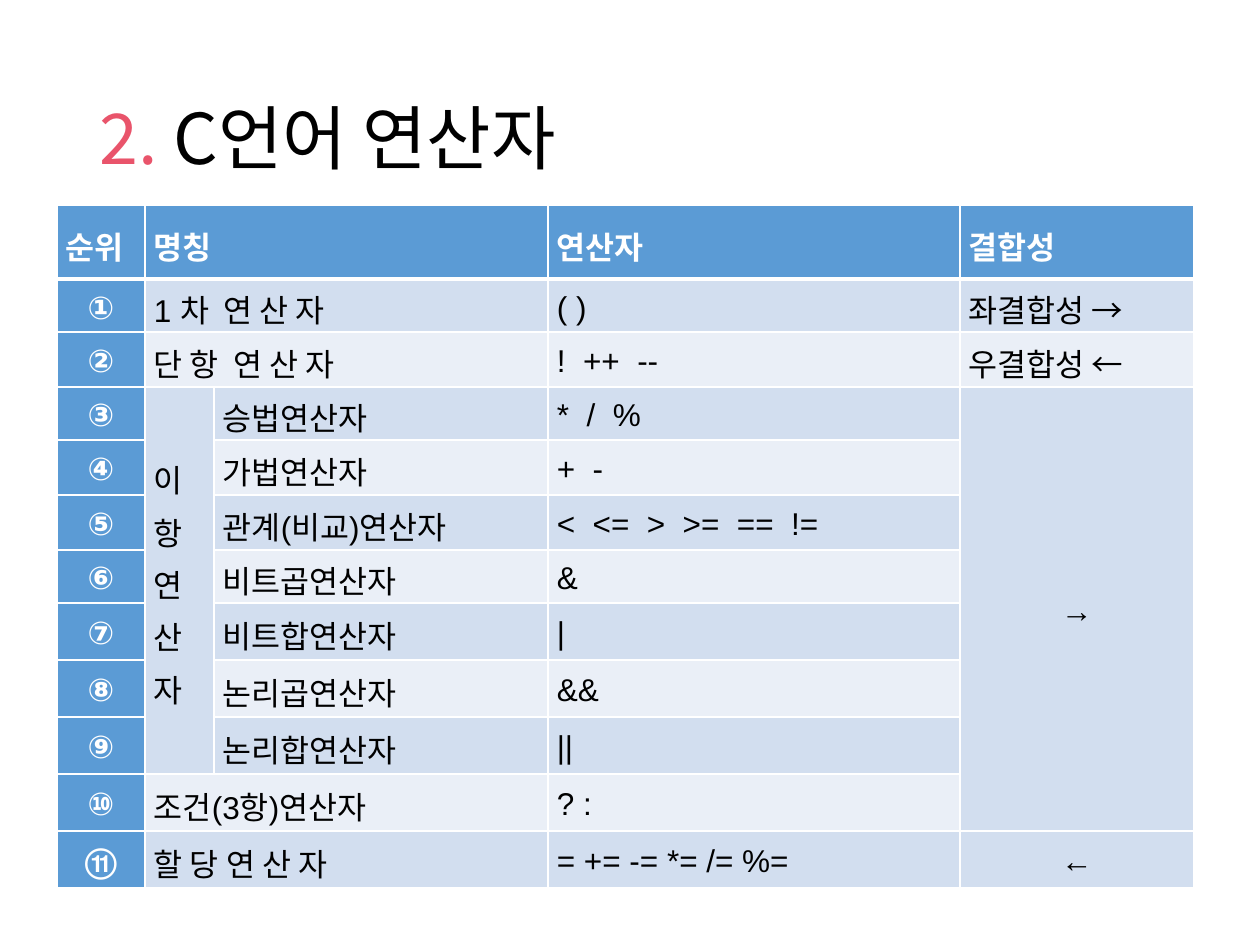
from lxml import etree
from pptx import Presentation
from pptx.dml.color import RGBColor
from pptx.enum.text import MSO_ANCHOR, PP_ALIGN
from pptx.oxml.ns import qn
from pptx.util import Emu, Pt

MIDDLE = MSO_ANCHOR.MIDDLE
LEFT, CENTER, JUSTIFY = PP_ALIGN.LEFT, PP_ALIGN.CENTER, PP_ALIGN.JUSTIFY
PX = 914400 // 126
THEME = {
    "accent": "E9546B", "text": "000000", "light": "FFFFFF",
    "header": "5B9BD5", "odd": "D2DEEF", "even": "EAEFF7",
    "title_font": "Noto Sans CJK KR", "table_font": "Arial",
    "title_size": 40, "table_size": 18,
}


def format_run(run, font_name, size, color, bold=False):
    run.font.name = font_name
    run.font.size = Pt(size)
    run.font.bold = bold
    run.font.color.rgb = RGBColor.from_string(color)
    east_asian = etree.SubElement(run.font._element, qn("a:ea"))
    east_asian.set("typeface", THEME["title_font"])


def add_borders(cell, top, bottom):
    properties = cell._tc.get_or_add_tcPr()
    for side, width in (("L", 1), ("R", 1), ("T", top), ("B", bottom)):
        line = etree.SubElement(properties, qn(f"a:ln{side}"), w=str(Pt(width)))
        fill = etree.SubElement(line, qn("a:solidFill"))
        etree.SubElement(fill, qn("a:srgbClr"), val=THEME["light"])


presentation = Presentation()
presentation.slide_width = Emu(1260 * PX)
presentation.slide_height = Emu(945 * PX)
slide = presentation.slides.add_slide(presentation.slide_layouts[5])

title = slide.shapes.title
title.left, title.top, title.width, title.height = [Emu(n * PX) for n in (87, 50, 1086, 183)]
title.text_frame.vertical_anchor = MIDDLE
title.text_frame.word_wrap = True
paragraph = title.text_frame.paragraphs[0]
paragraph.alignment = LEFT
paragraph.line_spacing = 0.9
for text, color in (("2. ", THEME["accent"]), ("C언어 연산자", THEME["text"])):
    run = paragraph.add_run()
    run.text = text
    format_run(run, THEME["title_font"], THEME["title_size"], color)

ROWS = [
    ("순위", "명칭", "", "연산자", "결합성"),
    ("①", "1 차  연 산 자", "", "( )", "좌결합성 →"),
    ("②", "단 항  연 산 자", "", "!  ++  --", "우결합성 ←"),
    ("③", "이\n항\n연\n산\n자", "승법연산자", "*  /  %", "→"),
    ("④", "", "가법연산자", "+  -", ""),
    ("⑤", "", "관계(비교)연산자", "<  <=  >  >=  ==  !=", ""),
    ("⑥", "", "비트곱연산자", "&", ""),
    ("⑦", "", "비트합연산자", "|", ""),
    ("⑧", "", "논리곱연산자", "&&", ""),
    ("⑨", "", "논리합연산자", "||", ""),
    ("⑩", "조건(3항)연산자", "", "? :", ""),
    ("⑪", "할 당 연 산 자", "", "= += -= *= /= %=", "←"),
]
COLUMN_WIDTHS = [88, 69, 334, 412, 234]
ROW_HEIGHTS = [74, 53, 55, 53, 55, 55, 53, 57, 57, 57, 57, 57]

table_frame = slide.shapes.add_table(
    len(ROWS), len(COLUMN_WIDTHS), Emu(57 * PX), Emu(205 * PX),
    Emu(sum(COLUMN_WIDTHS) * PX), Emu(sum(ROW_HEIGHTS) * PX))
table = table_frame.table
table.first_col = True
for column, width in zip(table.columns, COLUMN_WIDTHS):
    column.width = Emu(width * PX)
for row, height in zip(table.rows, ROW_HEIGHTS):
    row.height = Emu(height * PX)

for row_index in (0, 1, 2, 10, 11):
    table.cell(row_index, 1).merge(table.cell(row_index, 2))
table.cell(3, 1).merge(table.cell(9, 1))
table.cell(3, 4).merge(table.cell(10, 4))

for row_index, texts in enumerate(ROWS):
    for column_index, text in enumerate(texts):
        cell = table.cell(row_index, column_index)
        is_header = row_index == 0 or column_index == 0
        is_centered = row_index > 0 and (column_index == 0 or text in ("→", "←"))
        add_borders(cell, 3 if row_index == 1 else 1, 3 if row_index == 0 else 1)
        band = "odd" if row_index % 2 else "even"
        cell.fill.solid()
        cell.fill.fore_color.rgb = RGBColor.from_string(THEME["header" if is_header else band])
        cell.vertical_anchor = MIDDLE
        cell.margin_left = cell.margin_right = Emu(9 * PX)
        cell.margin_top = cell.margin_bottom = 0
        cell.text_frame.text = text
        for paragraph in cell.text_frame.paragraphs:
            paragraph.alignment = CENTER if is_centered else JUSTIFY
            paragraph.line_spacing = 1.15
            for run in paragraph.runs:
                format_run(run, THEME["table_font"], THEME["table_size"],
                           THEME["light" if is_header else "text"], is_header)

presentation.save("out.pptx")
